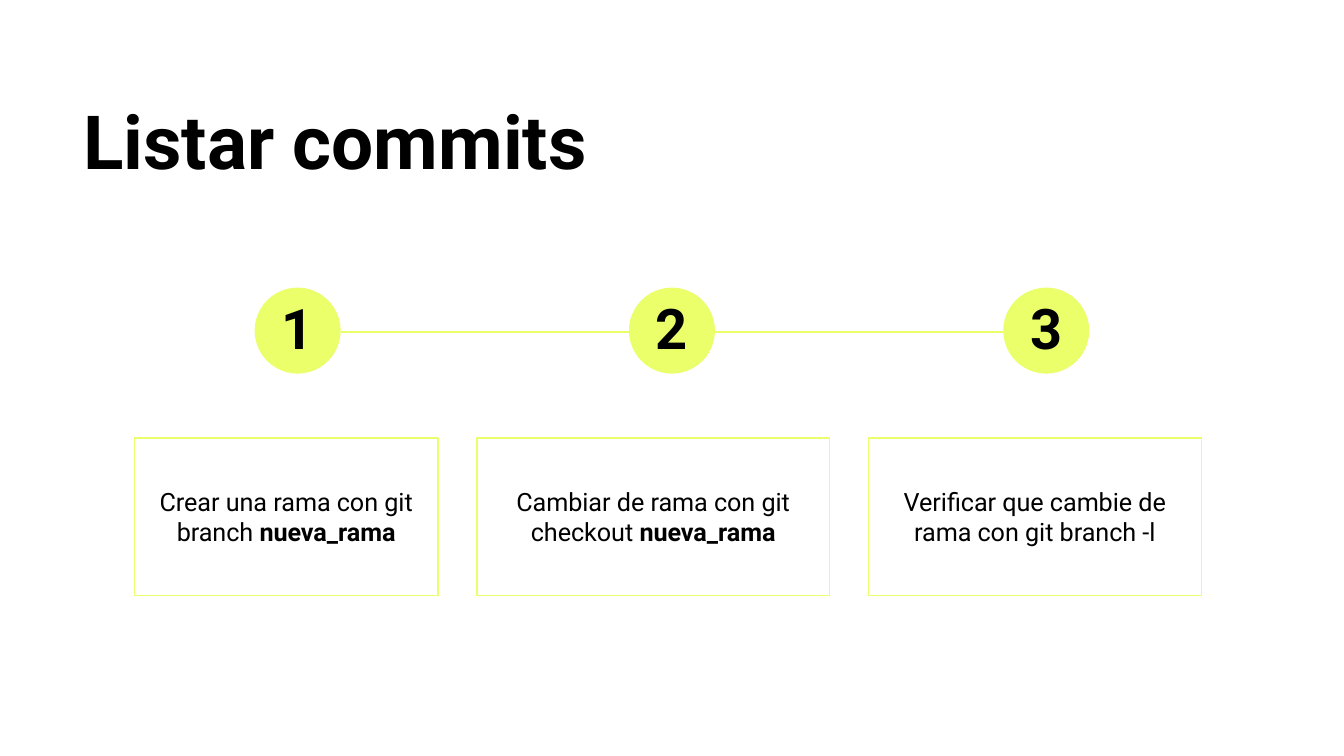
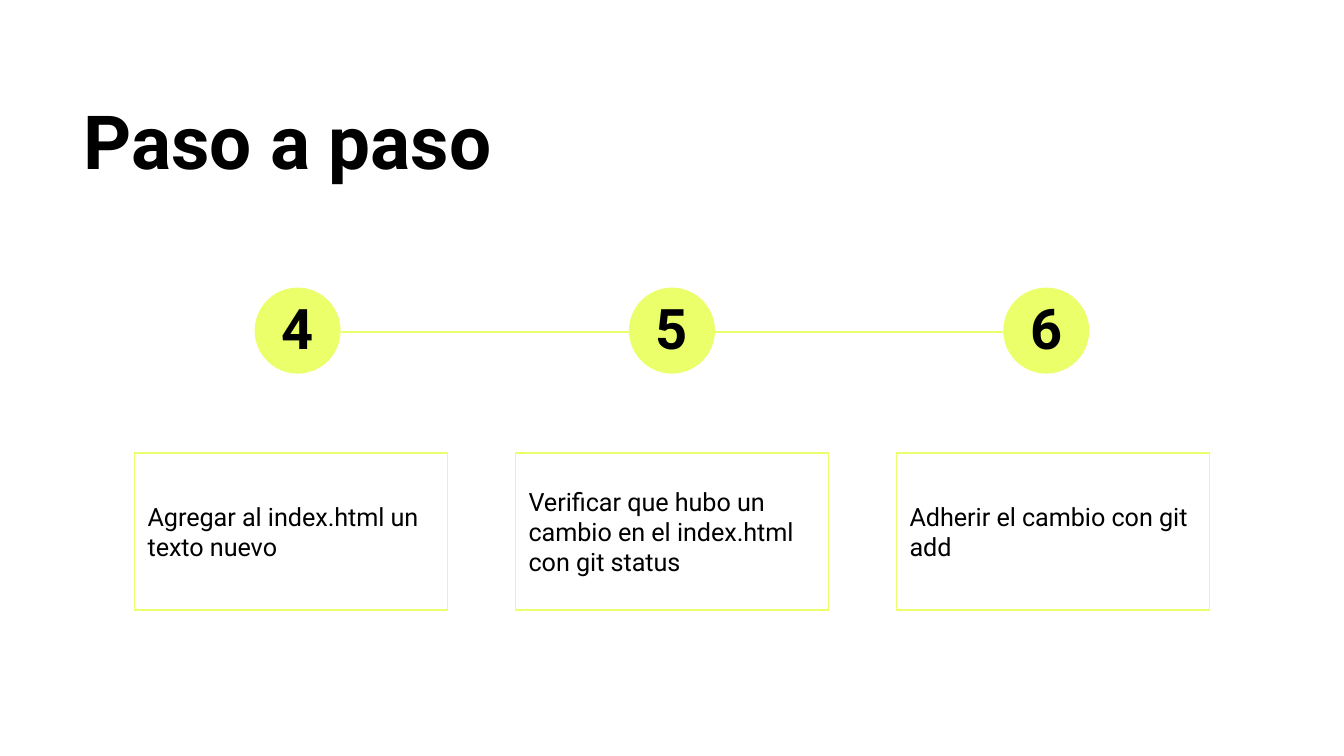
from lxml import etree
from pptx import Presentation
from pptx.dml.color import RGBColor
from pptx.enum.shapes import MSO_CONNECTOR, MSO_SHAPE
from pptx.enum.text import MSO_ANCHOR, MSO_AUTO_SIZE, PP_ALIGN
from pptx.oxml.ns import qn
from pptx.util import Inches, Pt

COLORS = {"background": "FFFFFF", "accent": "EAFF6A", "text": "000000"}
FONT = "Roboto"

SLIDE_WIDTH = 10
SLIDE_HEIGHT = SLIDE_WIDTH * 9 / 16
MIDDLE_CENTER = SLIDE_WIDTH / 2
CIRCLE_PITCH = 5.57 / 2
CIRCLE_TOP = 2.14
CIRCLE_SIZE = 0.64
LINE_Y = 2.47
NUMBER_WIDTH = 0.45
NUMBER_HEIGHT = 0.66
BOX_LEFT = 1.0
BOX_HEIGHT = 1.17

# Each step is a list of (text, bold) runs.
SLIDES = [
    {
        "title": "Listar commits",
        "first_number": 1,
        "box_top": 3.26,
        "box_widths": [2.26, 2.62, 2.48],
        "boxes_right": 8.94,
        "alignment": PP_ALIGN.CENTER,
        "steps": [
            [("Crear una rama con git branch ", False), ("nueva_rama", True)],
            [("Cambiar de rama con git checkout ", False), ("nueva_rama", True)],
            [("Verificar que cambie de rama con git branch -l", False)],
        ],
    },
    {
        "title": "Paso a paso",
        "first_number": 4,
        "box_top": 3.37,
        "box_widths": [2.33, 2.33, 2.33],
        "boxes_right": 9.0,
        "alignment": PP_ALIGN.LEFT,
        "steps": [
            [("Agregar al index.html un texto nuevo", False)],
            [("Verificar que hubo un cambio en el index.html con git status", False)],
            [("Adherir el cambio con git add", False)],
        ],
    },
]


def color(name):
    return RGBColor.from_string(COLORS[name])


def write_text(shape, runs, size, alignment, anchor, line_spacing=1.0):
    """Fill a shape with one paragraph made of (text, bold) runs."""
    frame = shape.text_frame
    frame.word_wrap = True
    frame.auto_size = MSO_AUTO_SIZE.NONE
    frame.vertical_anchor = anchor
    frame.margin_left = frame.margin_right = Inches(0.1)
    frame.margin_top = frame.margin_bottom = Inches(0.1)
    paragraph = frame.paragraphs[0]
    paragraph.alignment = alignment
    paragraph.line_spacing = line_spacing
    paragraph.space_before = Pt(0)
    paragraph.font.name = FONT
    paragraph.font.size = Pt(size)
    paragraph.font.color.rgb = color("text")
    for text, bold in runs:
        run = paragraph.add_run()
        run.text = text
        run.font.bold = bold


presentation = Presentation()
presentation.slide_width = Inches(SLIDE_WIDTH)
presentation.slide_height = Inches(SLIDE_HEIGHT)
title_only = presentation.slide_layouts[5]
background = presentation.slide_master.background.fill
background.solid()
background.fore_color.rgb = color("background")

for content in SLIDES:
    slide = presentation.slides.add_slide(title_only)
    shapes = slide.shapes

    title = shapes.title
    title.left, title.top = Inches(0.52), Inches(0.68)
    title.width, title.height = Inches(8.9), Inches(0.81)
    write_text(title, [(content["title"], True)], 40, PP_ALIGN.LEFT, MSO_ANCHOR.TOP, 0.9)

    for index in range(len(content["steps"])):
        center = MIDDLE_CENTER + (index - 1) * CIRCLE_PITCH
        if index > 0:
            connector = shapes.add_connector(
                MSO_CONNECTOR.STRAIGHT,
                Inches(center - CIRCLE_PITCH + CIRCLE_SIZE / 2), Inches(LINE_Y),
                Inches(center - CIRCLE_SIZE / 2), Inches(LINE_Y))
            connector.line.color.rgb = color("accent")
            connector.line.width = Pt(0.75)
            etree.SubElement(connector._element.spPr, qn("a:effectLst"))

        circle = shapes.add_shape(
            MSO_SHAPE.OVAL, Inches(center - CIRCLE_SIZE / 2), Inches(CIRCLE_TOP),
            Inches(CIRCLE_SIZE), Inches(CIRCLE_SIZE))
        circle.shadow.inherit = False
        circle.fill.solid()
        circle.fill.fore_color.rgb = color("accent")
        circle.line.fill.background()

        number = shapes.add_textbox(
            Inches(center - NUMBER_WIDTH / 2), Inches(CIRCLE_TOP),
            Inches(NUMBER_WIDTH), Inches(NUMBER_HEIGHT))
        label = str(content["first_number"] + index)
        write_text(number, [(label, True)], 30, PP_ALIGN.CENTER, MSO_ANCHOR.TOP, 0.9)

    widths = content["box_widths"]
    gap = (content["boxes_right"] - BOX_LEFT - sum(widths)) / (len(widths) - 1)
    left = BOX_LEFT
    for width, runs in zip(widths, content["steps"]):
        box = shapes.add_shape(
            MSO_SHAPE.RECTANGLE, Inches(left), Inches(content["box_top"]),
            Inches(width), Inches(BOX_HEIGHT))
        box.shadow.inherit = False
        box.fill.background()
        box.line.color.rgb = color("accent")
        box.line.width = Pt(0.75)
        write_text(box, runs, 13.5, content["alignment"], MSO_ANCHOR.MIDDLE)
        left += width + gap

presentation.save("out.pptx")
